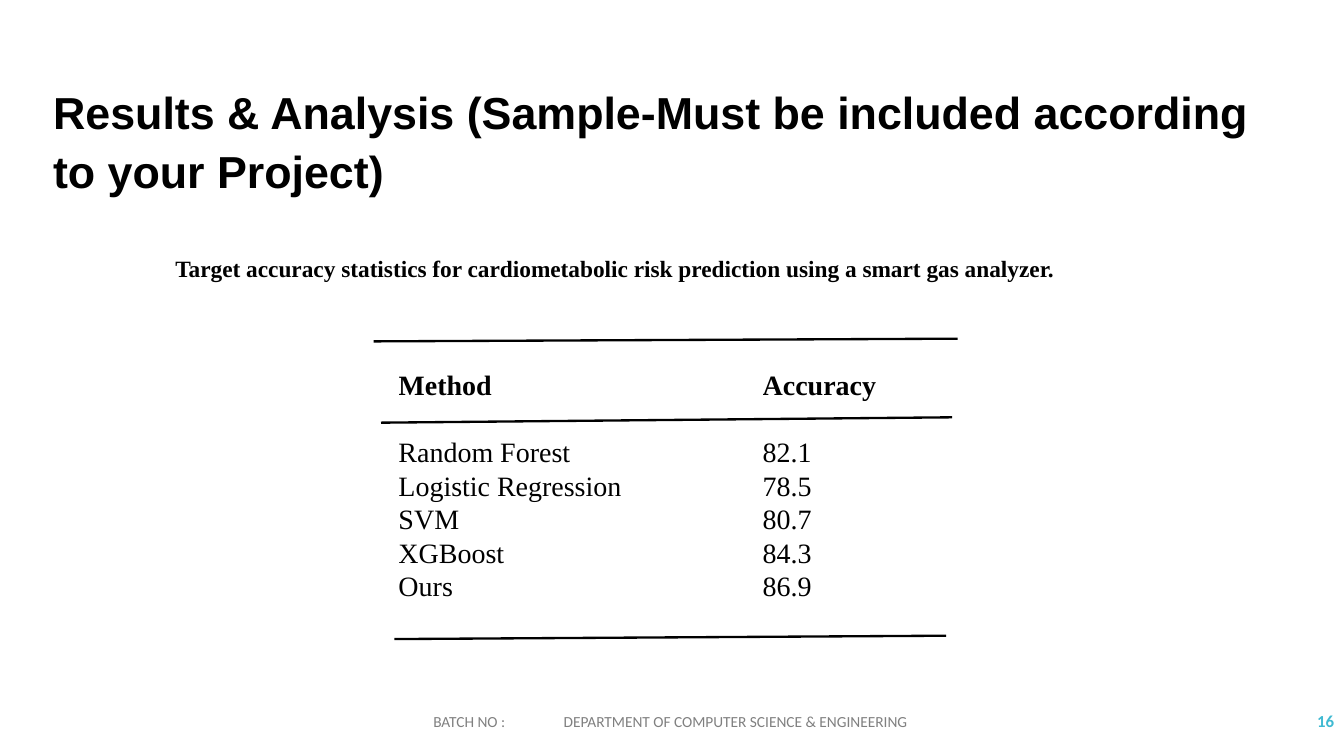
from lxml import etree
from pptx import Presentation
from pptx import util as u
from pptx.dml.color import RGBColor
from pptx.enum import shapes, text
from pptx.oxml.ns import qn

COLORS = {"ink": "000000", "foot": "808080", "page": "40BAD2"}
UNIT = u.Inches(1)
COLS, ROWS = 20, 11.25
SERIF = "Times New Roman"

HEAD = ("Method", "Accuracy")
SCORES = (
    ("Random Forest", "82.1"),
    ("Logistic Regression", "78.5"),
    ("SVM", "80.7"),
    ("XGBoost", "84.3"),
    ("Ours", "86.9"),
)
RULES = (
    (5.56, 5.08, 14.25, 5.04),
    (5.67, 6.29, 14.17, 6.21),
    (5.87, 9.51, 14.08, 9.46),
)


def grid(*cells):
    return [round(cell * UNIT) for cell in cells]


def style(para, face, size, color, bold=False):
    for run in para.runs:
        font = run.font
        font.name, font.size, font.bold = face, u.Pt(size), bold
        font.color.rgb = RGBColor.from_string(COLORS[color])


def add_title(slide, words):
    title = slide.shapes.title
    title.left, title.top, title.width, title.height = grid(0.79, 1.19, 18.42, 1.7)
    frame = title.text_frame
    frame.text = words
    frame.auto_size = text.MSO_AUTO_SIZE.NONE
    frame.vertical_anchor = text.MSO_ANCHOR.TOP
    frame.margin_left = frame.margin_right = 0
    frame.margin_top = frame.margin_bottom = 0
    para = frame.paragraphs[0]
    para.alignment = text.PP_ALIGN.LEFT
    para.line_spacing = u.Pt(63)
    style(para, "Arial", 48, "ink", True)


def add_text(slide, box, words, anchor=text.MSO_ANCHOR.TOP):
    frame = slide.shapes.add_textbox(*grid(*box)).text_frame
    frame.word_wrap = True
    frame.vertical_anchor = anchor
    frame.text = words
    return frame.paragraphs[0]


def add_tab(para, place):
    stops = etree.SubElement(para._p.get_or_add_pPr(), qn("a:tabLst"))
    etree.SubElement(stops, qn("a:tab"), pos=str(grid(place)[0]), algn="l")


def add_scores(slide):
    rows = (HEAD, *SCORES)
    frame = slide.shapes.add_table(len(rows), 2, *grid(5.93, 5.51, 8.2, 3.5))
    table = frame.table
    table.first_row = table.horz_banding = False
    for col, width in zip(table.columns, grid(5.42, 2.78)):
        col.width = width
    for i, row in enumerate(rows):
        table.rows[i].height = grid(0.5 if i else 1)[0]
        for j, words in enumerate(row):
            cell = table.cell(i, j)
            cell.fill.background()
            cell.margin_left = cell.margin_right = 0
            cell.margin_top = cell.margin_bottom = 0
            cell.text = words
            style(cell.text_frame.paragraphs[0], SERIF, 30, "ink", i == 0)


def add_rule(slide, ends):
    rule = slide.shapes.add_connector(shapes.MSO_CONNECTOR.STRAIGHT, *grid(*ends))
    rule.line.width = u.Pt(2.5)
    rule.line.color.rgb = RGBColor.from_string(COLORS["ink"])
    etree.SubElement(rule._element.spPr, qn("a:effectLst"))


def add_footer(slide):
    middle = text.MSO_ANCHOR.MIDDLE
    page = add_text(slide, (17.44, 10.43, 2.51, 0.6), "16", middle)
    page.alignment = text.PP_ALIGN.RIGHT
    style(page, "Calibri", 18, "page", True)
    foot = add_text(slide, (6.35, 10.43, 9.7, 0.6),
                    "BATCH NO :\tDEPARTMENT OF COMPUTER SCIENCE & ENGINEERING", middle)
    add_tab(foot, 1.94)
    style(foot, "Calibri", 16.5, "foot")


def main():
    deck = Presentation()
    deck.slide_width, deck.slide_height = grid(COLS, ROWS)
    slide = deck.slides.add_slide(deck.slide_layouts[5])
    add_title(slide, "Results & Analysis (Sample-Must be included according to your Project)")
    add_footer(slide)
    lead = add_text(slide, (2.51, 3.73, 14.18, 1.36),
                    "Target accuracy statistics for cardiometabolic risk prediction "
                    "using a smart gas analyzer.")
    style(lead, SERIF, 25, "ink", True)
    add_scores(slide)
    for ends in RULES:
        add_rule(slide, ends)
    deck.save("out.pptx")


if __name__ == "__main__":
    main()
